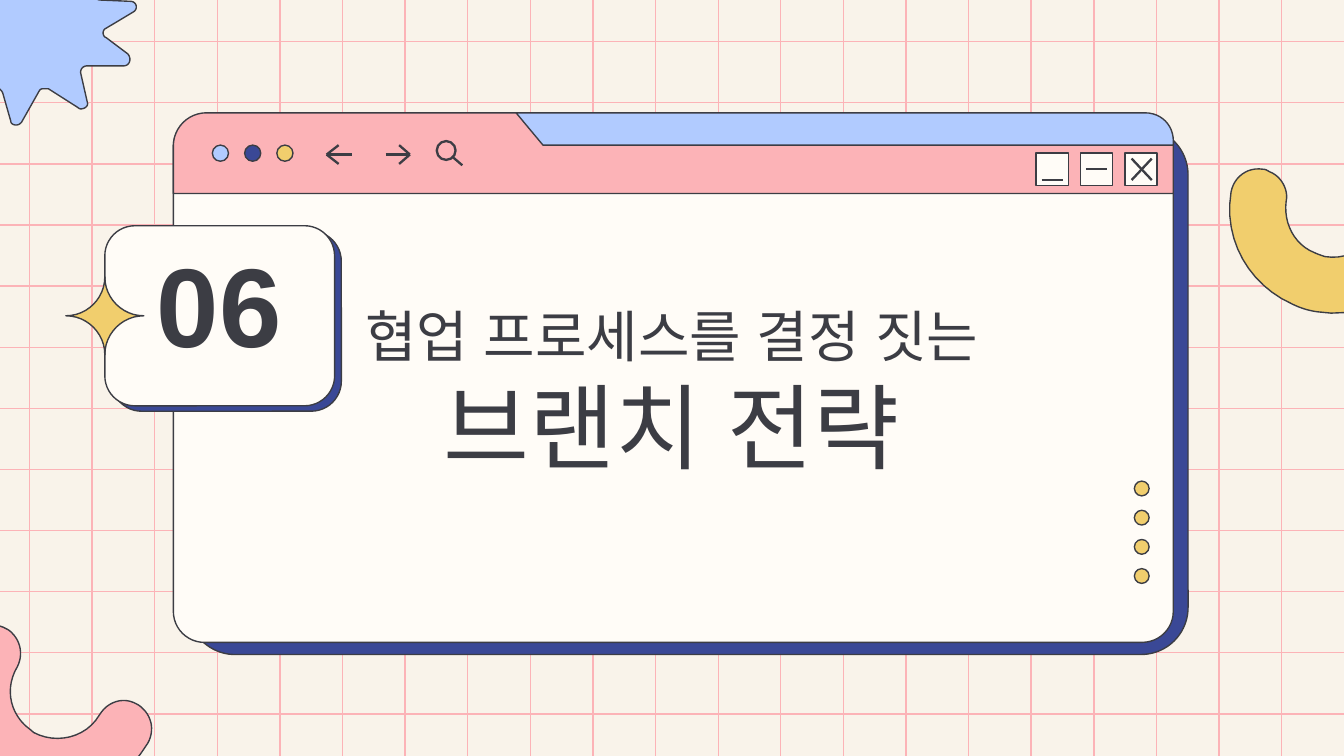
"""Build the section slide: a browser window with a numbered badge on a grid."""
from lxml.etree import SubElement
from pptx import Presentation
from pptx.dml.color import RGBColor
from pptx.enum.shapes import MSO_CONNECTOR as Connector, MSO_SHAPE as Shape
from pptx.enum.text import MSO_ANCHOR as Anchor, PP_ALIGN as Align
from pptx.oxml.ns import qn
from pptx.util import Pt

PX = 9144
COLORS = {
    "paper": "F9F3EA", "white": "FFFCF7", "pink": "FCB3B7", "blue": "B1CBFF",
    "navy": "3A4896", "yellow": "F1CE6D", "ink": "3C3D44",
}
RGB = {name: RGBColor.from_string(code) for name, code in COLORS.items()}

deck = Presentation()
deck.slide_width = 1000 * PX
deck.slide_height = deck.slide_width * 9 // 16
page = deck.slides.add_slide(deck.slide_layouts[6])
page.background.fill.solid()
page.background.fill.fore_color.rgb = RGB["paper"]


def paint(shape, fill, weight=0.75):
    shape.shadow.inherit = False
    shape.fill.solid()
    shape.fill.fore_color.rgb = RGB[fill]
    shape.line.color.rgb = RGB["ink"]
    shape.line.width = Pt(weight)


def stroke(ends, color, weight):
    line = page.shapes.add_connector(Connector.STRAIGHT, *(round(end * PX) for end in ends))
    line.line.color.rgb = RGB[color]
    line.line.width = Pt(weight)
    SubElement(line._element.spPr, qn("a:effectLst"))


for column in range(21):
    x = 22 + 46.58 * column
    stroke((x, -49, x, 568), "pink", 0.75)
for row in range(12):
    y = 31 + 45.47 * row
    stroke((1006, y, -16, y), "pink", 0.75)

presets = [
    (Shape.ROUNDED_RECTANGLE, (140, 95, 744, 392), "navy", [0.089]),
    (Shape.ROUNDED_RECTANGLE, (129, 86, 744, 392), "white", [0.059]),
    (Shape.ROUND_2_SAME_RECTANGLE, (129, 84, 744, 60), "pink", [0.41, 0]),
    (Shape.ROUNDED_RECTANGLE, (83, 172, 171, 134), "navy", [0.167]),
    (Shape.ROUNDED_RECTANGLE, (78, 168, 171, 134), "white", [0.167]),
]
for index, fill in enumerate(("blue", "navy", "yellow")):
    presets.append((Shape.OVAL, (158 + 24 * index, 108, 12, 12), fill, []))
    presets.append((Shape.RECTANGLE, (771 + 33 * index, 114, 24, 24), "white", []))
for index in range(4):
    presets.append((Shape.OVAL, (844, 358 + 21.7 * index, 11, 11), "yellow", []))
for kind, frame, fill, adjustments in presets:
    shape = page.shapes.add_shape(kind, *(round(length * PX) for length in frame))
    for index, value in enumerate(adjustments):
        shape.adjustments[index] = value
    paint(shape, fill)

arc = [
    (1056, 146), (1055, 145, 1053, 144, 1051, 144), (1040, 142, 1029, 150, 1027, 161),
    (1024, 181, 1006, 194, 986, 191), (983, 190, 980, 189, 978, 188),
    (963, 182, 955, 166, 957, 150), (959, 141, 953, 131, 945, 128),
    (943, 127, 942, 126, 940, 126), (928, 124, 918, 132, 916, 143),
    (910, 179, 930, 212, 961, 226), (967, 229, 973, 231, 980, 232),
    (1022, 239, 1061, 210, 1068, 168), (1070, 158, 1065, 149, 1056, 146),
]
smile = [
    (107, 528), (105, 526, 104, 525, 102, 524), (92, 518, 80, 522, 74, 532),
    (64, 549, 42, 554, 25, 545), (23, 543, 20, 541, 18, 539),
    (7, 528, 4, 511, 13, 496), (17, 488, 16, 478, 9, 471),
    (8, 470, 7, 469, 5, 468), (-5, 462, -18, 466, -24, 475),
    (-41, 506, -35, 545, -11, 569), (-7, 573, -1, 577, 5, 581),
    (41, 602, 89, 589, 110, 553), (115, 544, 113, 534, 107, 528),
]
burst = [
    (32, -46), (30, -46, 29, -46, 28, -44), (15, -22), (14, -20, 12, -19, 10, -19),
    (9, -19, 9, -19, 8, -20), (-14, -34), (-15, -34, -16, -35, -17, -35),
    (-19, -35, -21, -32, -21, -29), (-17, -8), (-16, -5, -18, -3, -21, -3),
    (-49, -2), (-53, -2, -55, 4, -51, 6), (-34, 18), (-32, 20, -32, 24, -35, 26),
    (-56, 38), (-60, 40, -58, 46, -53, 46), (-30, 47), (-26, 47, -24, 50, -26, 54),
    (-35, 72), (-37, 75, -34, 78, -31, 78), (-31, 78, -30, 78, -29, 78),
    (-4, 65), (-4, 65, -3, 65, -3, 65), (-1, 65, 1, 67, 2, 69), (8, 90),
    (8, 92, 10, 93, 12, 93), (14, 93, 15, 92, 16, 91), (29, 68),
    (30, 66, 31, 66, 33, 66), (34, 66, 35, 66, 36, 66), (58, 80),
    (59, 81, 60, 81, 60, 81), (63, 81, 66, 79, 65, 76), (60, 54),
    (60, 51, 62, 49, 65, 49), (92, 49), (97, 49, 98, 43, 95, 40), (79, 28),
    (76, 27, 76, 22, 79, 21), (99, 9), (103, 7, 102, 1, 97, 1), (74, 0),
    (70, -1, 68, -4, 70, -7), (79, -25), (80, -29, 78, -32, 75, -32),
    (74, -32, 74, -32, 73, -32), (49, -19), (48, -19, 47, -19, 46, -19),
    (44, -19, 43, -20, 42, -22), (36, -43), (36, -45, 34, -46, 32, -46),
]
tab = [(384, 84), (404, 108), (873, 108), (873, 105), (873, 93, 864, 84, 852, 84)]
sparkle = [
    (78, 206), (78, 222, 65, 235, 49, 235), (65, 235, 78, 248, 78, 264),
    (78, 248, 91, 235, 107, 235), (91, 235, 78, 222, 78, 206),
]
outlines = [
    (arc, "yellow"), (smile, "pink"), (burst, "blue"), (tab, "blue"), (sparkle, "yellow"),
]
STEPS = 12
for segments, fill in outlines:
    points = [segments[0]]
    for segment in segments[1:]:
        if len(segment) == 2:
            points.append(segment)
            continue
        ax, ay = points[-1]
        bx, by, cx, cy, dx, dy = segment
        for step in range(1, STEPS + 1):
            t = step / STEPS
            u = 1 - t
            weights = (u ** 3, 3 * u * u * t, 3 * u * t * t, t ** 3)
            points.append(tuple(
                sum(weight * value for weight, value in zip(weights, values))
                for values in ((ax, bx, cx, dx), (ay, by, cy, dy))
            ))
    corners = [(round(x * PX), round(y * PX)) for x, y in points]
    builder = page.shapes.build_freeform(*corners[0], scale=1.0)
    builder.add_line_segments(corners[1:], close=True)
    paint(builder.convert_to_shape(), fill)

lens = page.shapes.add_shape(Shape.OVAL, 325 * PX, 105 * PX, 14 * PX, 14 * PX)
paint(lens, "pink", 1.25)
icons = [
    (337, 117, 344, 123),
    (243, 115, 262, 115), (243, 115, 252, 108), (243, 115, 252, 122),
    (287, 115, 305, 115), (305, 115, 297, 108), (305, 115, 297, 122),
    (842, 118, 857, 134), (842, 134, 857, 118),
    (808, 126, 824, 126), (775, 134, 791, 134),
]
for ends in icons:
    stroke(ends, "ink", 1.25)

texts = [
    ((223, 203, 554, 165), [("협업 프로세스를 결정 짓는", 30), ("브랜치 전략", 50)], False),
    ((81, 185, 164, 100), [("06", 60)], True),
]
for frame, lines, bold in texts:
    box = page.shapes.add_textbox(*(length * PX for length in frame))
    body = box.text_frame
    body.word_wrap = True
    body.vertical_anchor = Anchor.BOTTOM
    body.margin_left = body.margin_right = body.margin_top = body.margin_bottom = 10 * PX
    body.text = "\n".join(words for words, size in lines)
    for para, (words, size) in zip(body.paragraphs, lines):
        para.alignment = Align.CENTER
        span = para.runs[0]
        span.font.name = "Arial"
        span.font.size = Pt(size)
        span.font.bold = bold
        span.font.color.rgb = RGB["ink"]
        SubElement(span.font._element, qn("a:ea"), typeface="Arial")

deck.save("out.pptx")
